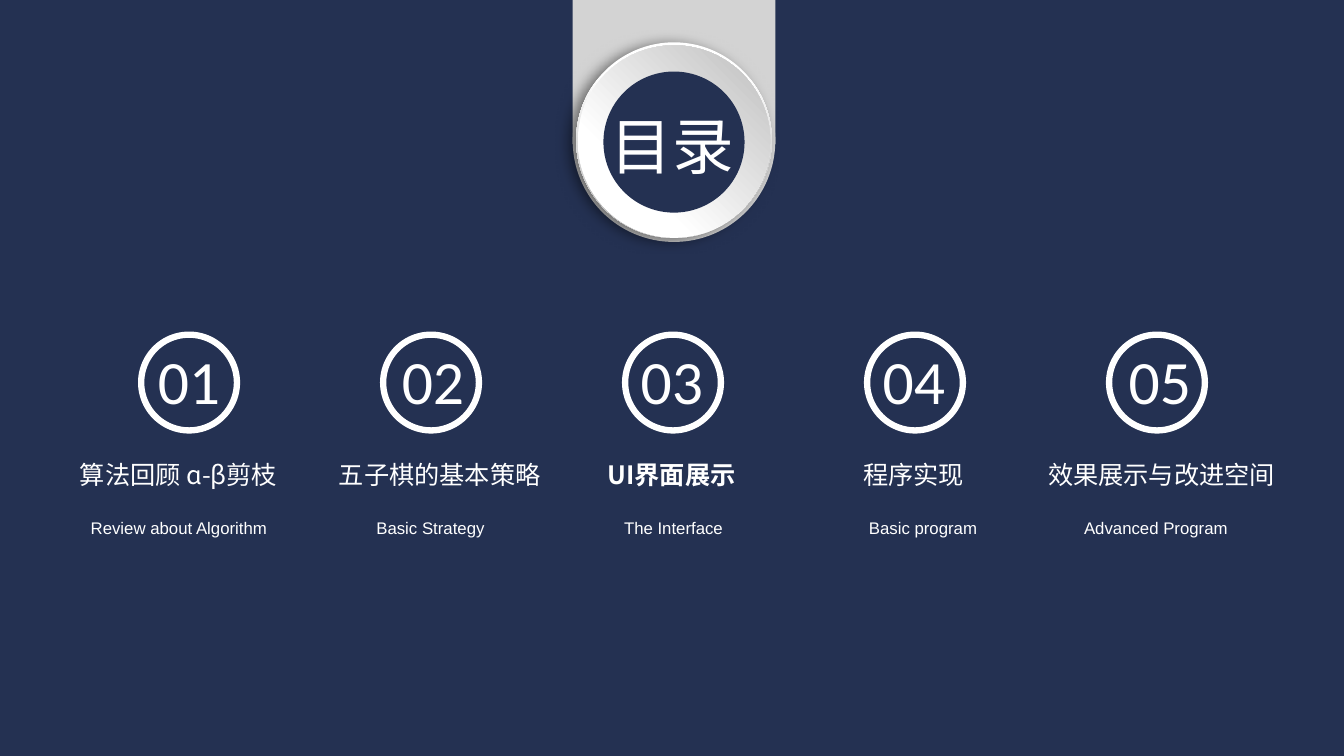
from lxml import etree
from pptx import Presentation, util as u
from pptx.dml import color as col
from pptx.enum import shapes, text
from pptx.oxml import ns

WIDE, HIGH = 13.33, 7.5
CELL = 0.1
NAVY, WHITE, GREY = "243152", "FFFFFF", "D3D3D3"
HAN = "Noto Sans CJK SC"
KIND = shapes.MSO_SHAPE
FIRST, STEP = 18.75, 24
ITEMS = [
    ("算法回顾 ɑ-β剪枝", 17.7, "Review about Algorithm", 17.75, 54.9, 18.75),
    ("五子棋的基本策略", 43.6, "Basic Strategy", 42.7, 21.2, 42.95),
    ("UI界面展示", 66.6, "The Interface", 66.8, 14.5, 66.65),
    ("程序实现", 90.6, "Basic program", 91.55, 16.3, 90.65),
    ("效果展示与改进空间", 115.2, "Advanced Program", 114.65, 23.1, 115.05),
]


def grid(*cells):
    return [u.Inches(c * CELL) for c in cells]


def rgb(code):
    return col.RGBColor.from_string(code)


def add(slide, kind, mid, top, wide, high, fill=None, line=None):
    box = grid(mid - wide / 2, top, wide, high)
    shape = slide.shapes.add_shape(kind, *box)
    shape.shadow.inherit = False
    if fill:
        shape.fill.solid()
        shape.fill.fore_color.rgb = rgb(fill)
    else:
        shape.fill.background()
    if line:
        shape.line.color.rgb = rgb(line)
        shape.line.width = u.Pt(4.5)
    else:
        shape.line.fill.background()
    return shape


def blend(shape, angle, stops):
    shape.fill.gradient()
    shape.fill.gradient_angle = angle
    for stop, (place, code) in zip(shape.fill.gradient_stops, stops):
        stop.position = place
        stop.color.rgb = rgb(code)


def shade(shape, blur, gap, turn, alpha):
    effect = shape.element.spPr.find(ns.qn("a:effectLst"))
    outer = etree.SubElement(
        effect, ns.qn("a:outerShdw"), blurRad=str(u.Pt(blur)),
        dist=str(u.Pt(gap)), dir=str(turn * 60000), algn="ctr", rotWithShape="0")
    tint = etree.SubElement(outer, ns.qn("a:srgbClr"), val="000000")
    etree.SubElement(tint, ns.qn("a:alpha"), val=str(alpha * 1000))


def write(shape, words, size=18, font=HAN, bold=False):
    frame = shape.text_frame
    frame.word_wrap = True
    frame.auto_size = text.MSO_AUTO_SIZE.SHAPE_TO_FIT_TEXT
    frame.vertical_anchor = text.MSO_ANCHOR.TOP
    para = frame.paragraphs[0]
    para.alignment = text.PP_ALIGN.CENTER
    run = para.add_run()
    run.text = words
    run.font.size = u.Pt(size)
    run.font.name = font
    run.font.bold = bold
    run.font.color.rgb = rgb(WHITE)
    east = etree.SubElement(run.font._element, ns.qn("a:ea"))
    east.set("typeface", font)


def label(slide, words, mid, top, wide, high, **form):
    box = slide.shapes.add_textbox(*grid(mid - wide / 2, top, wide, high))
    write(box, words, **form)


def badge(slide):
    mid = 66.85
    add(slide, KIND.RECTANGLE, mid, 0, 20.1, 14.3, GREY)
    add(slide, KIND.OVAL, mid, 3.9, 20.1, 20.1, GREY)
    rim = add(slide, KIND.OVAL, mid, 4.2, 19.4, 19.4, WHITE)
    blend(rim, 270, [(0.17, WHITE), (0.88, "B8B8B8")])
    shade(rim, 10, 5, 160, 50)
    ring = add(slide, KIND.OVAL, mid, 4.5, 19.1, 19.1, WHITE)
    blend(ring, 45, [(0.29, WHITE), (0.98, "BFBFBF")])
    add(slide, KIND.OVAL, mid, 7.1, 14, 14, NAVY)
    label(slide, "目录", 66.7, 10.2, 22.1, 8.4, size=44)


def item(slide, rank, title, mid, note, under, span, spot):
    add(slide, KIND.OVAL, FIRST + rank * STEP, 33.2, 9.5, 9.5, line=WHITE)
    label(slide, f"{rank + 1:02}", spot, 33.5, 8.7, 8.4, size=44, font="Calibri")
    label(slide, title, mid, 45.1, 54.2, 4, bold=rank == 2)
    plate = add(slide, KIND.SNIP_1_RECTANGLE, under, 50.9, span, 3)
    plate.adjustments[0] = 0
    write(plate, note, size=12, font="Arial")


def main():
    deck = Presentation()
    deck.slide_width, deck.slide_height = u.Inches(WIDE), u.Inches(HIGH)
    slide = deck.slides.add_slide(deck.slide_layouts[6])
    slide.background.fill.solid()
    slide.background.fill.fore_color.rgb = rgb(NAVY)
    badge(slide)
    for rank, row in enumerate(ITEMS):
        item(slide, rank, *row)
    deck.save("out.pptx")


if __name__ == "__main__":
    main()
